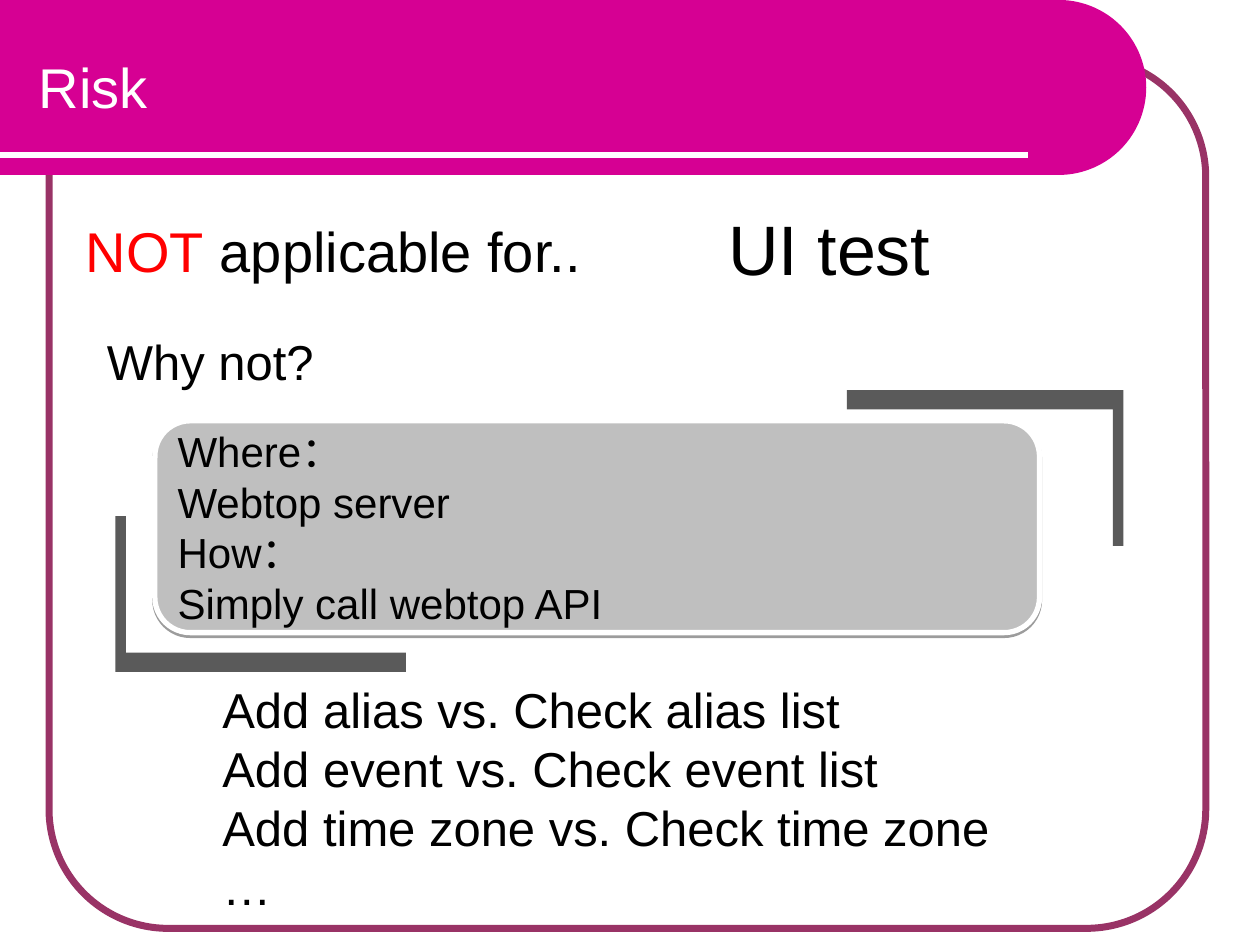
from math import copysign, cos, radians, sin

from lxml import etree
from pptx import Presentation
from pptx.dml.color import RGBColor
from pptx.enum.shapes import MSO_CONNECTOR, MSO_SHAPE
from pptx.enum.text import MSO_ANCHOR, PP_ALIGN
from pptx.oxml.ns import qn
from pptx.util import Pt

MAGENTA, PLUM, WHITE, BLACK = "D60093", "993366", "FFFFFF", "000000"
RED, SILVER, CHARCOAL = "FF0000", "BFBFBF", "0D0D0D"


def rgb(hex_color):
    return RGBColor.from_string(hex_color)


def sub(parent, tag, **attrs):
    """Append a DrawingML child element."""
    return etree.SubElement(parent, qn(tag), {k: str(v) for k, v in attrs.items()})


class SlideBuilder:
    font = "Arial"

    def __init__(self, slide):
        self.slide = slide
        self.shapes = slide.shapes

    def paint(self, sp, fill=None, line=None, width=1, alpha=None):
        sp.shadow.inherit = False
        if fill:
            sp.fill.solid()
            sp.fill.fore_color.rgb = rgb(fill)
            if alpha:
                color = sp._element.spPr.find(qn("a:solidFill"))[0]
                sub(color, "a:alpha", val=alpha * 1000)
        else:
            sp.fill.background()
        if line:
            sp.line.color.rgb = rgb(line)
            sp.line.width = Pt(width)
        else:
            sp.line.fill.background()

    def set_text(self, sp, lines, size, color=BLACK, align=PP_ALIGN.LEFT,
                 anchor=MSO_ANCHOR.TOP):
        tf = sp.text_frame
        tf.text = "\n".join(lines)
        tf.word_wrap = True
        tf.vertical_anchor = anchor
        for p in tf.paragraphs:
            p.alignment = align
            for r in p.runs:
                self.style(r, size, color)

    def style(self, r, size, color):
        r.font.name = self.font
        r.font.size = Pt(size)
        r.font.color.rgb = rgb(color)

    def title(self, text, x, y, w, h, size, color):
        sp = self.shapes.title
        sp.left, sp.top, sp.width, sp.height = Pt(x), Pt(y), Pt(w), Pt(h)
        self.set_text(sp, [text], size, color, anchor=MSO_ANCHOR.MIDDLE)
        sp._element.getparent().append(sp._element)  # in front of the band

    def text(self, lines, x, y, w, h, size, align=PP_ALIGN.LEFT):
        sp = self.shapes.add_textbox(Pt(x), Pt(y), Pt(w), Pt(h))
        self.set_text(sp, lines, size, align=align)
        return sp

    def round_rect(self, x, y, w, h, radius, **look):
        sp = self.shapes.add_shape(MSO_SHAPE.ROUNDED_RECTANGLE,
                                   Pt(x), Pt(y), Pt(w), Pt(h))
        sp.adjustments[0] = radius
        self.paint(sp, **look)
        return sp

    def drop_shadow(self, sp, distance, alpha):
        effects = sp._element.spPr.find(qn("a:effectLst"))
        shadow = sub(effects, "a:outerShdw", dist=Pt(distance), dir=90 * 60000,
                     algn="ctr", rotWithShape=0)
        color = sub(shadow, "a:srgbClr", val=BLACK)
        sub(color, "a:alpha", val=alpha * 1000)

    def polygon(self, points, **look):
        start, *rest = [(Pt(x), Pt(y)) for x, y in points]
        builder = self.shapes.build_freeform(*start)
        builder.add_line_segments(rest, close=True)
        self.paint(builder.convert_to_shape(), **look)

    def band(self, w, h, fill):
        """Bar from the slide's top left corner with a round right end."""
        r = h / 2
        cap = [(w - r + r * cos(radians(a)), r + r * sin(radians(a)))
               for a in range(-90, 91, 3)]
        self.polygon([(0, 0), *cap, (0, h)], fill=fill)

    def bracket(self, x, y, w, h):
        """L shape with its corner at x, y; the signs of w and h set its direction."""
        dx, dy = copysign(6, w), copysign(11, h)
        self.polygon([(x, y), (x + w, y), (x + w, y + dy), (x + dx, y + dy),
                      (x + dx, y + h), (x, y + h)], fill=CHARCOAL, alpha=68)

    def line(self, x1, y1, x2, y2, color, width):
        cx = self.shapes.add_connector(MSO_CONNECTOR.STRAIGHT,
                                       Pt(x1), Pt(y1), Pt(x2), Pt(y2))
        cx.line.color.rgb = rgb(color)
        cx.line.width = Pt(width)
        sub(cx._element.spPr, "a:effectLst")


def main():
    prs = Presentation()
    prs.slide_width, prs.slide_height = Pt(720), Pt(540)
    s = SlideBuilder(prs.slides.add_slide(prs.slide_layouts[5]))

    s.round_rect(28, 33, 661, 497.5, 0.137, line=PLUM, width=4)
    s.band(655, 100, MAGENTA)
    s.line(0, 88.5, 587.5, 88.5, WHITE, 3)
    s.title("Risk", 15, 0, 541.5, 98.5, 32, WHITE)

    s.text(["UI test"], 384, 114, 180, 60, 40, PP_ALIGN.CENTER)
    claim = s.text(["NOT"], 42, 120, 324, 60, 32)
    p = claim.text_frame.paragraphs[0]
    s.style(p.runs[0], 32, RED)
    r = p.add_run()
    r.text = " applicable for.."
    s.style(r, 32, BLACK)
    s.text(["Why not?"], 54, 186, 168, 60, 28)

    s.bracket(66, 384, 166, -89)
    s.bracket(642, 223, -158, 89)
    panel = s.round_rect(88.5, 240.5, 505.5, 121, 0.167,
                         fill=SILVER, line=WHITE, width=3)
    s.drop_shadow(panel, 1.6, 38)
    s.set_text(panel, ["Where：", "Webtop server", "How：", "Simply call webtop API"],
               24, anchor=MSO_ANCHOR.MIDDLE)

    s.text(["Add alias vs. Check alias list", "Add event vs. Check event list",
            "Add time zone vs. Check time zone", "…"], 120, 385, 492, 142, 28)
    prs.save("out.pptx")


if __name__ == "__main__":
    main()
